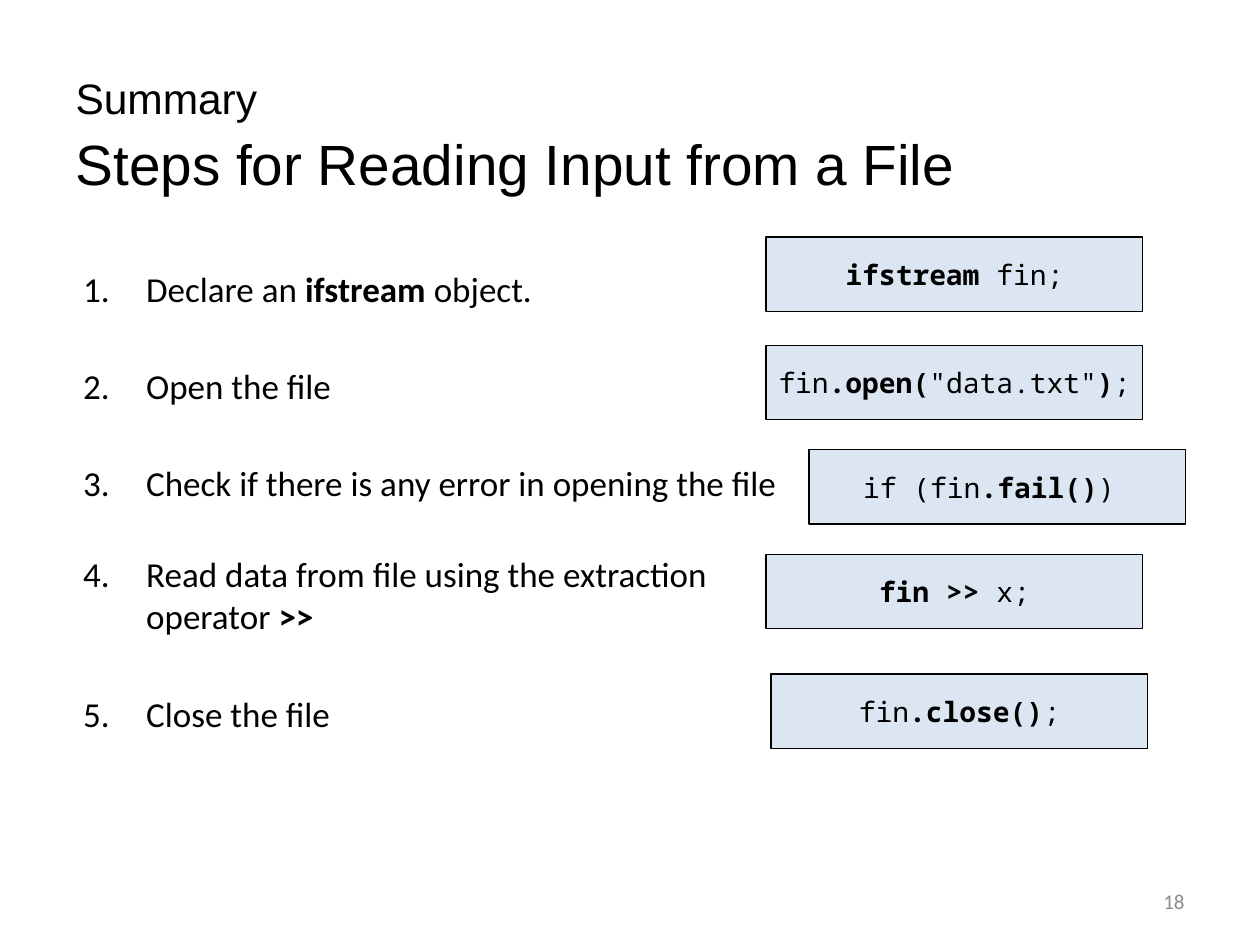
from lxml import etree
from pptx import Presentation
from pptx.dml.color import RGBColor
from pptx.enum.shapes import MSO_SHAPE
from pptx.enum.text import MSO_ANCHOR, MSO_AUTO_SIZE, PP_ALIGN
from pptx.oxml.ns import qn
from pptx.util import Inches, Pt

RECTANGLE = MSO_SHAPE.RECTANGLE
MIDDLE = MSO_ANCHOR.MIDDLE
NO_AUTOFIT = MSO_AUTO_SIZE.NONE
LEFT, CENTER, RIGHT = PP_ALIGN.LEFT, PP_ALIGN.CENTER, PP_ALIGN.RIGHT

COLORS = {"text": "000000", "code_fill": "DCE6F2", "code_line": "000000", "number": "8C8C8C"}

STEPS = [
    (0, [("Declare an ", False), ("ifstream ", True), ("object.", False)]),
    (31.6, [("Open the file", False)]),
    (31.6, [("Check if there is any error in opening the file", False)]),
    (28, [("Read data from file using the extraction operator ", False), (">>", True)]),
    (31.6, [("Close the file", False)]),
]
CODE_SIZE = (2.99, 0.59)
CODE_BOXES = [
    (6.08, 1.88, [("ifstream ", True), ("fin;", False)]),
    (6.08, 2.74, [("fin", False), (".open(", True), ('"data.txt"', False), (")", True), (";", False)]),
    (6.42, 3.57, [("if (fin", False), (".fail()", True), (") ", False)]),
    (6.08, 4.4, [("fin >> ", True), ("x;", False)]),
    (6.12, 5.35, [("fin", False), (".close()", True), (";", False)]),
]


def color(name):
    return RGBColor.from_string(COLORS[name])


def place(shape, box):
    shape.left, shape.top, shape.width, shape.height = map(Inches, box)


def style(paragraph, font_name, size, color_name, align):
    paragraph.alignment = align
    paragraph.font.name = font_name
    paragraph.font.size = Pt(size)
    paragraph.font.color.rgb = color(color_name)


def add_runs(paragraph, runs):
    for text, bold in runs:
        run = paragraph.add_run()
        run.text = text
        run.font.bold = bold


def number_paragraph(paragraph):
    properties = paragraph._p.get_or_add_pPr()
    properties.set("marL", str(Inches(0.56)))
    properties.set("indent", str(Inches(-0.5)))
    etree.SubElement(properties, qn("a:buFont"), typeface="+mj-lt")
    etree.SubElement(properties, qn("a:buAutoNum"), type="arabicPeriod")


def fill_title(title, box):
    place(title, box)
    frame = title.text_frame
    frame.auto_size = NO_AUTOFIT
    frame.vertical_anchor = MIDDLE
    frame.margin_top = Inches(0.12)
    heading = frame.paragraphs[0]
    style(heading, "Arial", 32.4, "text", LEFT)
    for text, size in [("Summary", 24.3), (" ", 39.6)]:
        run = heading.add_run()
        run.text = text
        run.font.size = Pt(size)
    heading.add_line_break()
    heading.add_run().text = "Steps for Reading Input from a File"


def fill_steps(body, box):
    place(body, box)
    frame = body.text_frame
    frame.auto_size = NO_AUTOFIT
    for index, (space_before, runs) in enumerate(STEPS):
        step = frame.add_paragraph() if index else frame.paragraphs[0]
        step.space_before = Pt(space_before)
        number_paragraph(step)
        style(step, "Calibri", 20, "text", LEFT)
        add_runs(step, runs)


def add_code_box(slide, box, runs):
    code_box = slide.shapes.add_shape(RECTANGLE, *map(Inches, box))
    code_box.shadow.inherit = False
    code_box.fill.solid()
    code_box.fill.fore_color.rgb = color("code_fill")
    code_box.line.color.rgb = color("code_line")
    code_box.line.width = Pt(0.75)
    frame = code_box.text_frame
    frame.word_wrap = True
    frame.vertical_anchor = MIDDLE
    code = frame.paragraphs[0]
    style(code, "Noto Sans Mono", 16, "text", CENTER)
    add_runs(code, runs)


def add_page_number(slide, box):
    frame = slide.shapes.add_textbox(*map(Inches, box)).text_frame
    frame.word_wrap = True
    frame.vertical_anchor = MIDDLE
    number = frame.paragraphs[0]
    style(number, "Calibri", 12, "number", RIGHT)
    number.add_run().text = "18"


def main():
    deck = Presentation()
    deck.slide_width, deck.slide_height = Inches(10), Inches(7.5)
    slide = deck.slides.add_slide(deck.slide_layouts[1])
    fill_title(slide.shapes.title, (0.5, 0.3, 9, 1.25))
    fill_steps(slide.placeholders[1], (0.5, 2.07, 5.92, 4.63))
    add_page_number(slide, (7.17, 6.95, 2.33, 0.4))
    for left, top, runs in CODE_BOXES:
        add_code_box(slide, (left, top, *CODE_SIZE), runs)
    deck.save("out.pptx")


if __name__ == "__main__":
    main()
